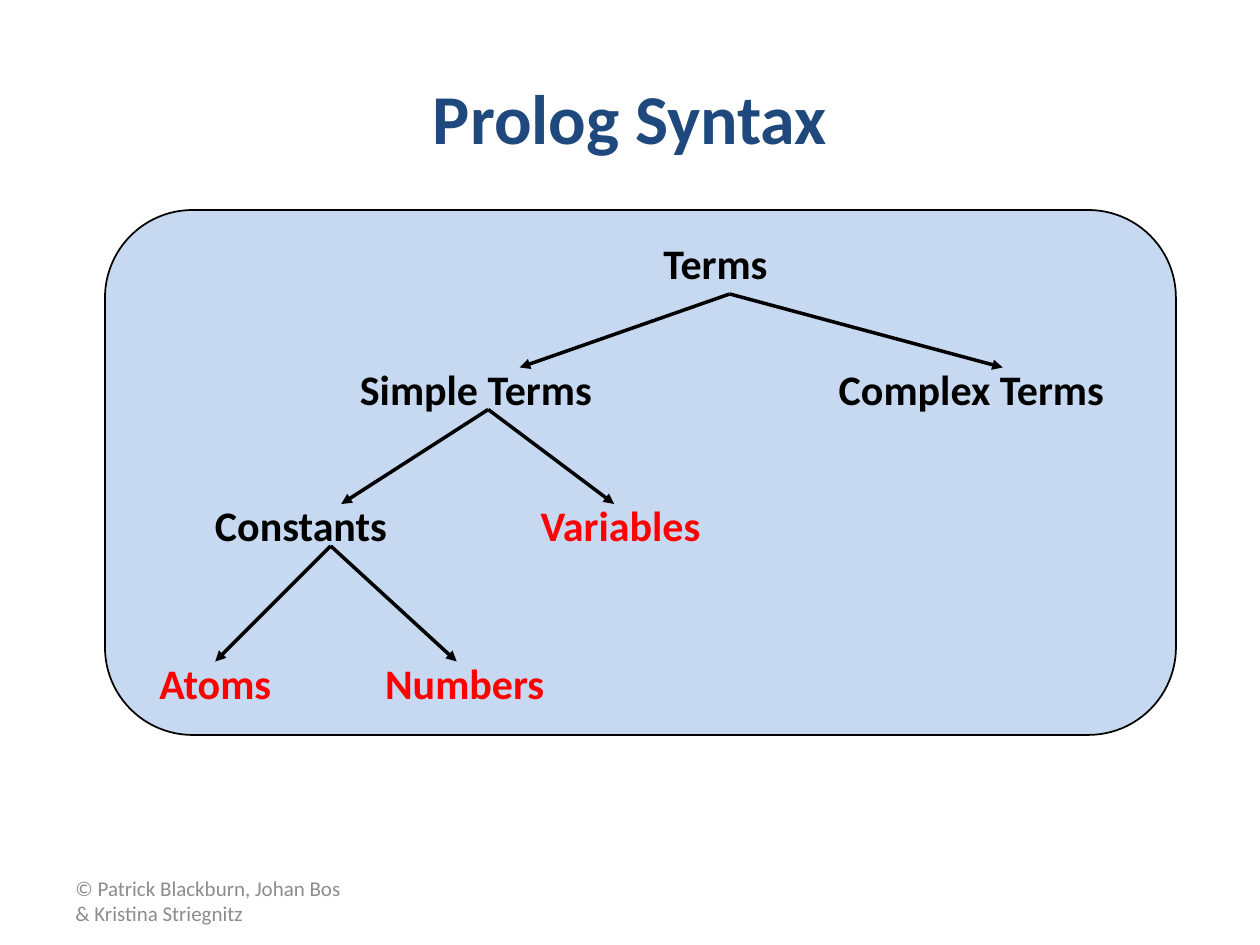
from pptx import Presentation, util as u
from pptx.dml.color import RGBColor
from pptx.enum import shapes, text
from pptx.oxml.ns import qn
from lxml import etree

COLORS = {
    "title": "1F497D",
    "panel": "C6D9F1",
    "ink": "000000",
    "leaf": "FF0000",
    "footer": "8C8C8C",
}
FONT = "Calibri"
COLUMNS, ROWS = 120, 90

# label, column, row, width in columns, colour
NODES = [
    ("Terms", 62, 22, 12.5, "ink"),
    ("Simple Terms", 33.1, 34, 24.7, "ink"),
    ("Complex Terms", 78.7, 34, 28, "ink"),
    ("Constants", 19.3, 47, 19, "ink"),
    ("Variables", 50.3, 47, 18, "leaf"),
    ("Atoms", 14, 62, 13.3, "leaf"),
    ("Numbers", 35.5, 62, 17.8, "leaf"),
]

# parent point, then the points of its children, as (column, row)
BRANCHES = [
    ((69.5, 28), [(49.5, 35), (95.5, 35)]),
    ((46.5, 39), [(32.5, 48), (58.5, 48)]),
    ((31.5, 52), [(20.5, 63), (43.5, 63)]),
]


class TreeSlide:
    """Holds the style and the current slide; lengths are grid columns and rows."""

    def __init__(self, deck):
        self.column = deck.slide_width / COLUMNS
        self.row = deck.slide_height / ROWS
        self.page = deck.slides.add_slide(deck.slide_layouts[5])

    def place(self, left, top, width, height):
        return (round(left * self.column), round(top * self.row),
                round(width * self.column), round(height * self.row))

    def color(self, name):
        return RGBColor.from_string(COLORS[name])

    def set_text(self, box, words, size, color, bold=True):
        box.text_frame.text = words
        para = box.text_frame.paragraphs[0]
        para.font.name = FONT
        para.font.size = u.Pt(size)
        para.font.bold = bold
        para.font.color.rgb = self.color(color)
        return para

    def title(self, words, *area):
        box = self.page.shapes.title
        box.left, box.top, box.width, box.height = self.place(*area)
        box.text_frame.vertical_anchor = text.MSO_ANCHOR.MIDDLE
        para = self.set_text(box, words, 40, "title")
        para.alignment = text.PP_ALIGN.CENTER

    def panel(self, *area):
        box = self.page.shapes.add_shape(
            shapes.MSO_SHAPE.ROUNDED_RECTANGLE, *self.place(*area))
        box.adjustments[0] = 0.167
        box.shadow.inherit = False
        box.fill.solid()
        box.fill.fore_color.rgb = self.color("panel")
        box.line.color.rgb = self.color("ink")
        box.line.width = u.Pt(1)

    def node(self, words, left, top, width, color):
        box = self.page.shapes.add_textbox(*self.place(left, top, width, 6))
        box.text_frame.word_wrap = False
        box.text_frame.auto_size = text.MSO_AUTO_SIZE.SHAPE_TO_FIT_TEXT
        self.set_text(box, words, 24, color)

    def arrow(self, start, end):
        line = self.page.shapes.add_connector(
            shapes.MSO_CONNECTOR.STRAIGHT, *self.place(*start, *end))
        line.line.color.rgb = self.color("ink")
        line.line.width = u.Pt(2)
        etree.SubElement(line.get_or_add_ln(), qn("a:tailEnd"), type="triangle")
        etree.SubElement(line.element.spPr, qn("a:effectLst"))

    def footer(self, words, *area):
        box = self.page.shapes.add_textbox(*self.place(*area))
        box.text_frame.word_wrap = True
        box.text_frame.vertical_anchor = text.MSO_ANCHOR.MIDDLE
        self.set_text(box, words, 12, "footer", bold=False)


def main():
    deck = Presentation()
    deck.slide_width, deck.slide_height = u.Inches(10), u.Inches(7.5)
    slide = TreeSlide(deck)

    # Title, footer and background panel
    slide.title("Prolog Syntax", 6, 3.6, 108, 15)
    slide.footer("© Patrick Blackburn, Johan Bos & Kristina Striegnitz",
                 6, 83.4, 28, 4.8)
    slide.panel(10, 20, 102, 50)

    # Tree of terms
    for node in NODES:
        slide.node(*node)
    for parent, children in BRANCHES:
        for child in children:
            slide.arrow(parent, child)

    deck.save("out.pptx")


if __name__ == "__main__":
    main()
